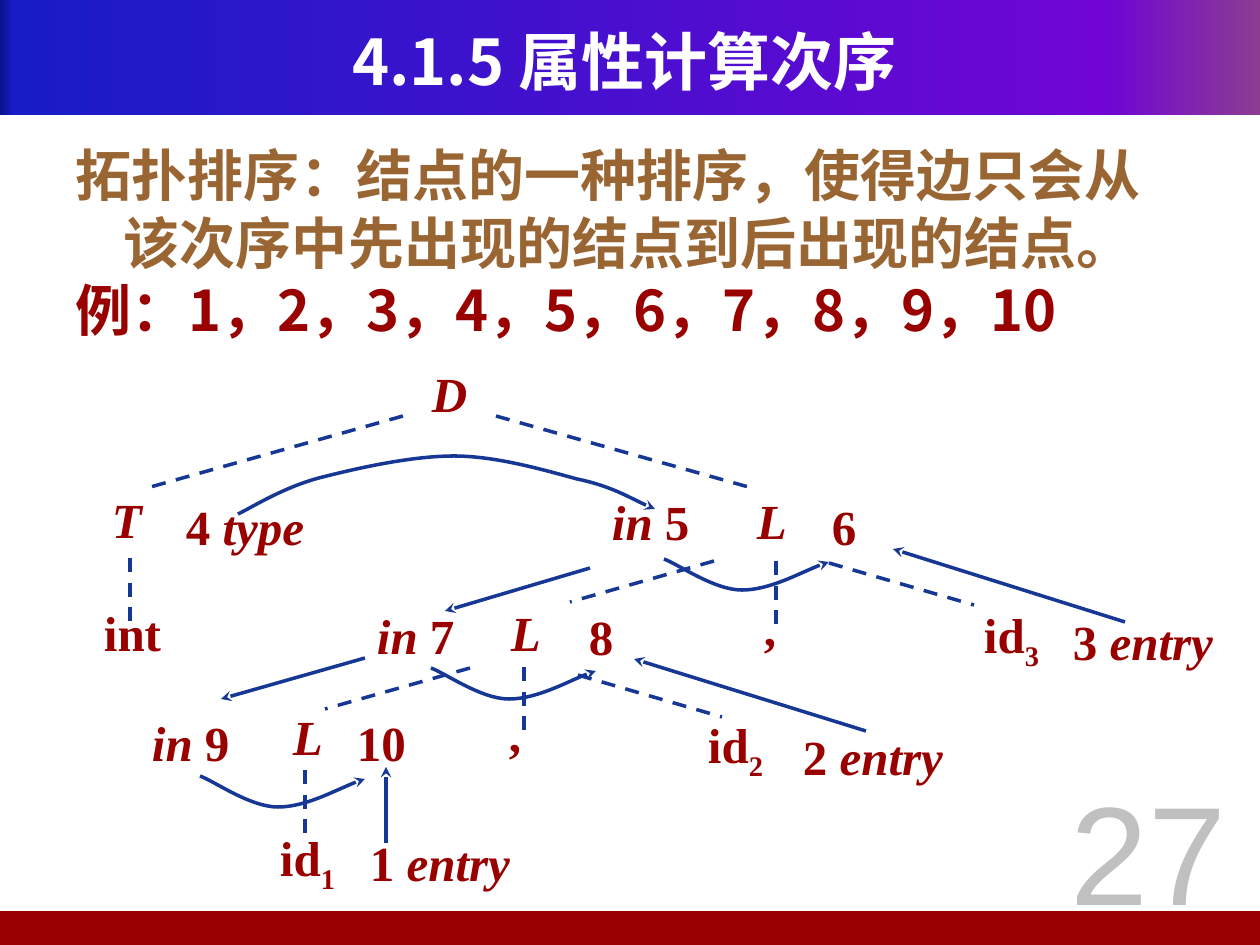
from lxml.etree import SubElement
from pptx import Presentation
from pptx.dml.color import RGBColor
from pptx.enum.dml import MSO_LINE_DASH_STYLE as Dash
from pptx.enum.shapes import MSO_CONNECTOR as Connector, MSO_SHAPE as Shape
from pptx.enum.text import MSO_ANCHOR as Anchor, PP_ALIGN as Align
from pptx.oxml.ns import qn
from pptx.util import Pt

PX = 914400 / 126
WHITE = RGBColor(0xFF, 0xFF, 0xFF)
RED = RGBColor(0x99, 0x00, 0x00)
BROWN = RGBColor(0x99, 0x66, 0x33)
GREY = RGBColor(0xC0, 0xC0, 0xC0)
NAVY = RGBColor(0x16, 0x37, 0x94)
BANNER_STOPS = [(0, "0A128C"), (1, "181CC7"), (88, "7005D4"), (100, "8C3D91")]
HEADING_FONT, TREE_FONT, NUMBER_FONT = "Noto Sans CJK SC", "Times New Roman", "Arial"

TITLE = "4.1.5 属性计算次序"
STATEMENTS = [
    ("拓扑排序：结点的一种排序，使得边只会从该次序中先出现的结点到后出现的结点。", BROWN),
    ("例：1，2，3，4，5，6，7，8，9，10", RED),
]
PAGE_NUMBER = "27"

PLAIN, ITALIC, SUB = "plain", "italic", "sub"
NODES = [
    (430, 363, [("D", ITALIC)]),
    (110, 489, [("T", ITALIC)]),
    (102, 602, [("int", PLAIN)]),
    (755, 490, [("L", ITALIC)]),
    (509, 602, [("L", ITALIC)]),
    (291, 706, [("L", ITALIC)]),
    (762, 597, [(",", PLAIN)]),
    (507, 703, [(",", PLAIN)]),
    (982, 604, [("id", PLAIN), ("3", SUB)]),
    (706, 714, [("id", PLAIN), ("2", SUB)]),
    (278, 827, [("id", PLAIN), ("1", SUB)]),
    (368, 832, [("1 ", PLAIN), ("entry", ITALIC)]),
    (801, 726, [("2 ", PLAIN), ("entry", ITALIC)]),
    (1071, 611, [("3 ", PLAIN), ("entry", ITALIC)]),
    (184, 496, [("4 ", PLAIN), ("type", ITALIC)]),
    (610, 491, [("in ", ITALIC), ("5", PLAIN)]),
    (830, 496, [("6", PLAIN)]),
    (375, 605, [("in ", ITALIC), ("7", PLAIN)]),
    (587, 606, [("8", PLAIN)]),
    (150, 712, [("in ", ITALIC), ("9", PLAIN)]),
    (355, 712, [("10", PLAIN)]),
]
TREE_EDGES = [
    (403, 416, 147, 488), (496, 416, 752, 488),
    (130, 558, 130, 622), (776, 561, 776, 625),
    (524, 667, 524, 731), (305, 770, 305, 834),
    (714, 561, 570, 602), (829, 563, 974, 605),
    (470, 668, 325, 709), (578, 675, 722, 717),
]
DEPENDENCIES = [
    (386, 843, 386, 767), (590, 568, 445, 611), (365, 658, 221, 699),
    (1125, 622, 893, 549), (866, 731, 634, 659),
]
TYPE_TO_IN = [(238, 514), (251, 508), (282, 488), (319, 478), (354, 469), (410, 456),
              (454, 456), (496, 456), (544, 470), (577, 479), (611, 486), (639, 503), (655, 509)]
IN_TO_SYN = [(0, 0), (14, 5), (50, 31), (78, 31), (106, 31), (147, 8), (165, 3)]
IN_TO_SYN_STARTS = [(200, 776), (431, 668), (664, 559)]


def px(*lengths):
    return [round(length * PX) for length in lengths]


def set_font(font, name, size, color, bold=True):
    font.size, font.bold, font.name = Pt(size), bold, name
    font.color.rgb = color
    SubElement(font._element, qn("a:ea"), typeface=name)


def add_text(slide, box, paragraphs, name, size, bold=True, align=None,
             anchor=Anchor.TOP, insets=(0, 0), hanging=0):
    frame = slide.shapes.add_textbox(*px(*box)).text_frame
    frame.word_wrap = True
    frame.vertical_anchor = anchor
    frame.margin_left = frame.margin_right = px(insets[0])[0]
    frame.margin_top = frame.margin_bottom = px(insets[1])[0]
    for index, (runs, color) in enumerate(paragraphs):
        paragraph = frame.add_paragraph() if index else frame.paragraphs[0]
        paragraph.alignment = align
        set_font(paragraph.font, name, size, color, bold)
        if hanging:
            indent = px(hanging)[0]
            properties = paragraph._p.get_or_add_pPr()
            properties.set("marL", str(indent))
            properties.set("indent", str(-indent))
        for text, style in runs:
            run = paragraph.add_run()
            run.text = text
            if style == ITALIC:
                run.font.italic = True
            elif style == SUB:
                run.font._element.set("baseline", "-25000")


def add_bar(slide, box):
    bar = slide.shapes.add_shape(Shape.RECTANGLE, *px(*box))
    bar.shadow.inherit = False
    bar.line.fill.background()
    return bar


def add_banner(slide):
    fill = add_bar(slide, (0, 0, 1260, 115)).fill
    fill.gradient()
    fill.gradient_angle = 0
    stops = fill._fill._gradFill.find(qn("a:gsLst"))
    for stop in list(stops):
        stops.remove(stop)
    for percent, color in BANNER_STOPS:
        stop = SubElement(stops, qn("a:gs"), pos=str(percent * 1000))
        SubElement(stop, qn("a:srgbClr"), val=color)


def style_line(line, arrow):
    line.color.rgb = NAVY
    line.width = Pt(2)
    if arrow:
        SubElement(line._get_or_add_ln(), qn("a:tailEnd"), type="stealth")
    else:
        line.dash_style = Dash.DASH


def add_edge(slide, ends, arrow):
    edge = slide.shapes.add_connector(Connector.STRAIGHT, *px(*ends))
    SubElement(edge._element.spPr, qn("a:effectLst"))
    style_line(edge.line, arrow)


def add_curve(slide, points):
    builder = slide.shapes.build_freeform(*points[0], scale=PX)
    builder.add_line_segments(points[1:], close=False)
    curve = builder.convert_to_shape()
    curve.shadow.inherit = False
    curve.fill.background()
    style_line(curve.line, True)
    segments = list(curve._element.iter(qn("a:lnTo")))
    for start in range(0, len(segments), 3):
        outline = segments[start].getparent()
        bezier = SubElement(outline, qn("a:cubicBezTo"))
        for segment in segments[start:start + 3]:
            bezier.append(segment[0])
            outline.remove(segment)


def main():
    deck = Presentation()
    deck.slide_width, deck.slide_height = px(1260, 945)
    slide = deck.slides.add_slide(deck.slide_layouts[6])

    add_banner(slide)
    footer = add_bar(slide, (-5, 911, 1265, 34))
    footer.fill.solid()
    footer.fill.fore_color.rgb = RED

    add_text(slide, (42, 21, 1165, 78), [([(TITLE, PLAIN)], WHITE)], HEADING_FONT, 36,
             align=Align.CENTER, anchor=Anchor.MIDDLE)
    add_text(slide, (63, 135, 1134, 723),
             [([(text, PLAIN)], color) for text, color in STATEMENTS],
             HEADING_FONT, 32, insets=(13, 6), hanging=48)
    add_text(slide, (1037, 760, 223, 179), [([(PAGE_NUMBER, PLAIN)], GREY)], NUMBER_FONT, 80,
             bold=False, align=Align.CENTER, insets=(13, 6))

    for left, top, runs in NODES:
        add_text(slide, (left, top, 150, 62), [(runs, RED)], TREE_FONT, 28, insets=(2, 1))
    for ends in TREE_EDGES:
        add_edge(slide, ends, arrow=False)
    for ends in DEPENDENCIES:
        add_edge(slide, ends, arrow=True)
    add_curve(slide, TYPE_TO_IN)
    for left, top in IN_TO_SYN_STARTS:
        add_curve(slide, [(left + x, top + y) for x, y in IN_TO_SYN])

    deck.save("out.pptx")


if __name__ == "__main__":
    main()
